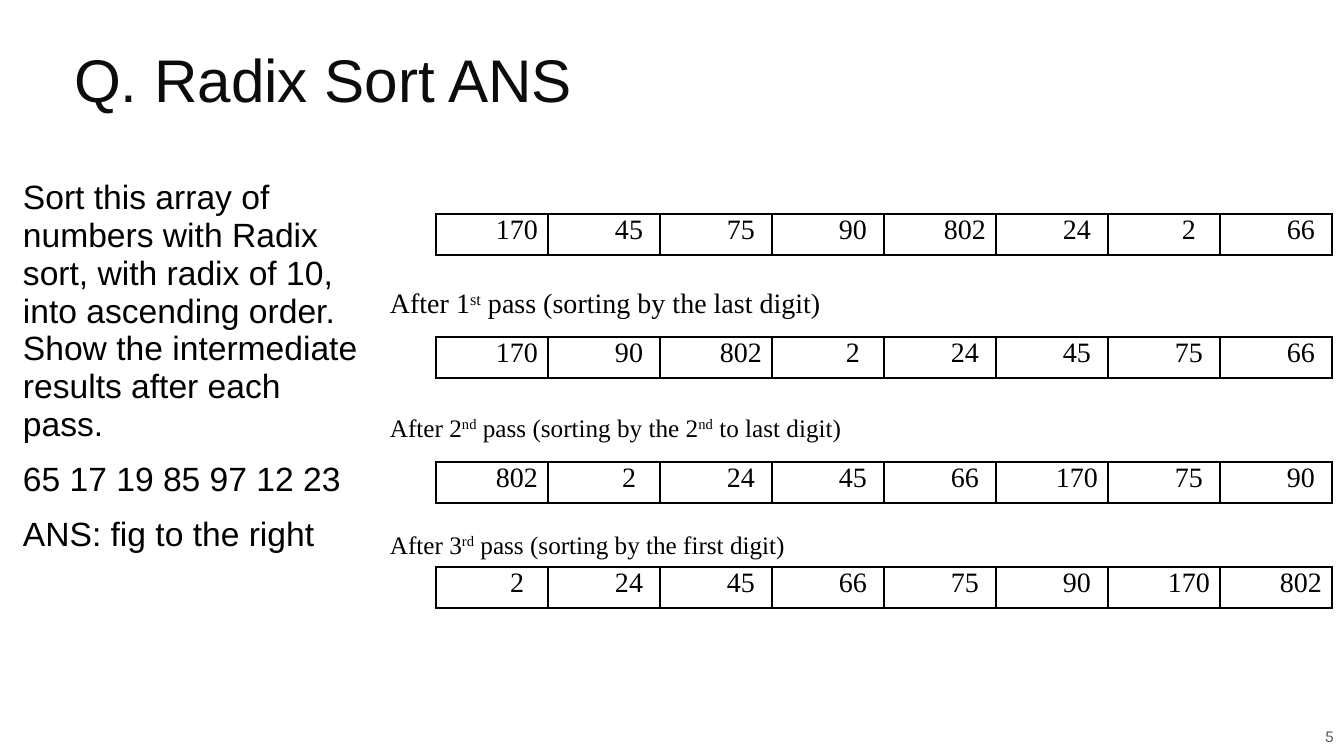
from lxml.etree import SubElement
from pptx import Presentation
from pptx.dml.color import RGBColor
from pptx.enum.text import MSO_ANCHOR, MSO_AUTO_SIZE, PP_ALIGN
from pptx.oxml.ns import qn
from pptx.util import Emu, Pt


def px(length):
    return Emu(round(length * 914400 / 100.8))


def style(paragraph, face, size, color, indent=0):
    properties = paragraph._p.get_or_add_pPr()
    properties.set("marL", str(px(indent)))
    properties.set("indent", "0")
    if properties.find(qn("a:buNone")) is None:
        SubElement(properties, qn("a:buNone"))
    paragraph.font.name = face
    paragraph.font.size = Pt(size)
    paragraph.font.color.rgb = RGBColor.from_string(color)


deck = Presentation()
deck.slide_width, deck.slide_height = px(1344), px(756)
slide = deck.slides.add_slide(deck.slide_layouts[1])

title = slide.shapes.title
title.left, title.top, title.width, title.height = px(64), px(29), px(1233), px(112)
title.text_frame.text = "Q. Radix Sort ANS"
title.text_frame.auto_size = MSO_AUTO_SIZE.NONE
title.text_frame.vertical_anchor = MSO_ANCHOR.MIDDLE
heading = title.text_frame.paragraphs[0]
style(heading, "Arial", 43, "0C0C0C")
heading.alignment = PP_ALIGN.LEFT
heading.line_spacing = 0.8
heading.space_before = Pt(0)

question = slide.placeholders[1]
question.left, question.top, question.width, question.height = px(11), px(174), px(353), px(390)
question_frame = question.text_frame
question_frame.auto_size = MSO_AUTO_SIZE.NONE
question_frame.margin_left = question_frame.margin_right = px(5)
question_frame.margin_top = question_frame.margin_bottom = px(5)
question_frame.text = (
    "Sort this array of numbers with Radix sort, with radix of 10, into ascending order. "
    "Show the intermediate results after each pass.\n"
    "65 17 19 85 97 12 23\n"
    "ANS: fig to the right"
)
for index, paragraph in enumerate(question_frame.paragraphs):
    style(paragraph, "Arial", 24, "000000", 7)
    paragraph.line_spacing = 0.94
    paragraph.space_before = Pt(12 if index else 0)

passes = [
    (214, [170, 45, 75, 90, 802, 24, 2, 66]),
    (337, [170, 90, 802, 2, 24, 45, 75, 66]),
    (462, [802, 2, 24, 45, 66, 170, 75, 90]),
    (567, [2, 24, 45, 66, 75, 90, 170, 802]),
]
for top, numbers in passes:
    array = slide.shapes.add_table(1, len(numbers), px(436), px(top), px(896), px(41)).table
    array.first_row = array.horz_banding = False
    for column, number in enumerate(numbers):
        array.columns[column].width = px(112)
        cell = array.cell(0, column)
        cell.text = str(number)
        cell.margin_left = cell.margin_right = px(7)
        cell.margin_top = cell.margin_bottom = 0
        style(cell.text_frame.paragraphs[0], "Times New Roman", 20, "000000", 50)
        cell.text_frame.paragraphs[0].alignment = PP_ALIGN.CENTER
        cell_properties = cell._tc.get_or_add_tcPr()
        for side in ("lnL", "lnR", "lnT", "lnB"):
            border = SubElement(cell_properties, qn(f"a:{side}"), w=str(Pt(1)))
            border_fill = SubElement(border, qn("a:solidFill"))
            SubElement(border_fill, qn("a:srgbClr"), val="000000")
        cell.fill.background()

captions = [
    (281, 508, 44, 20, ["After 1", "st", " pass (sorting by the last digit)"]),
    (407, 535, 40, 18, ["After 2", "nd", " pass (sorting by the 2", "nd", " to last digit)"]),
    (524, 508, 40, 18, ["After 3", "rd", " pass (sorting by the first digit)"]),
]
for top, width, height, size, pieces in captions:
    caption = slide.shapes.add_textbox(px(330), px(top), px(width), px(height)).text_frame
    caption.word_wrap = True
    line = caption.paragraphs[0]
    style(line, "Times New Roman", size, "000000", 50)
    for position, piece in enumerate(pieces):
        run = line.add_run()
        run.text = piece
        if position % 2:
            run.font._element.set("baseline", "30000")

page = slide.shapes.add_textbox(px(872), px(716), px(472), px(40)).text_frame
page.word_wrap = True
page.vertical_anchor = MSO_ANCHOR.MIDDLE
page.margin_left = page.margin_right = page.margin_top = page.margin_bottom = px(10)
page.text = "5"
style(page.paragraphs[0], "Karla", 12, "595959")
page.paragraphs[0].alignment = PP_ALIGN.RIGHT

deck.save("out.pptx")
